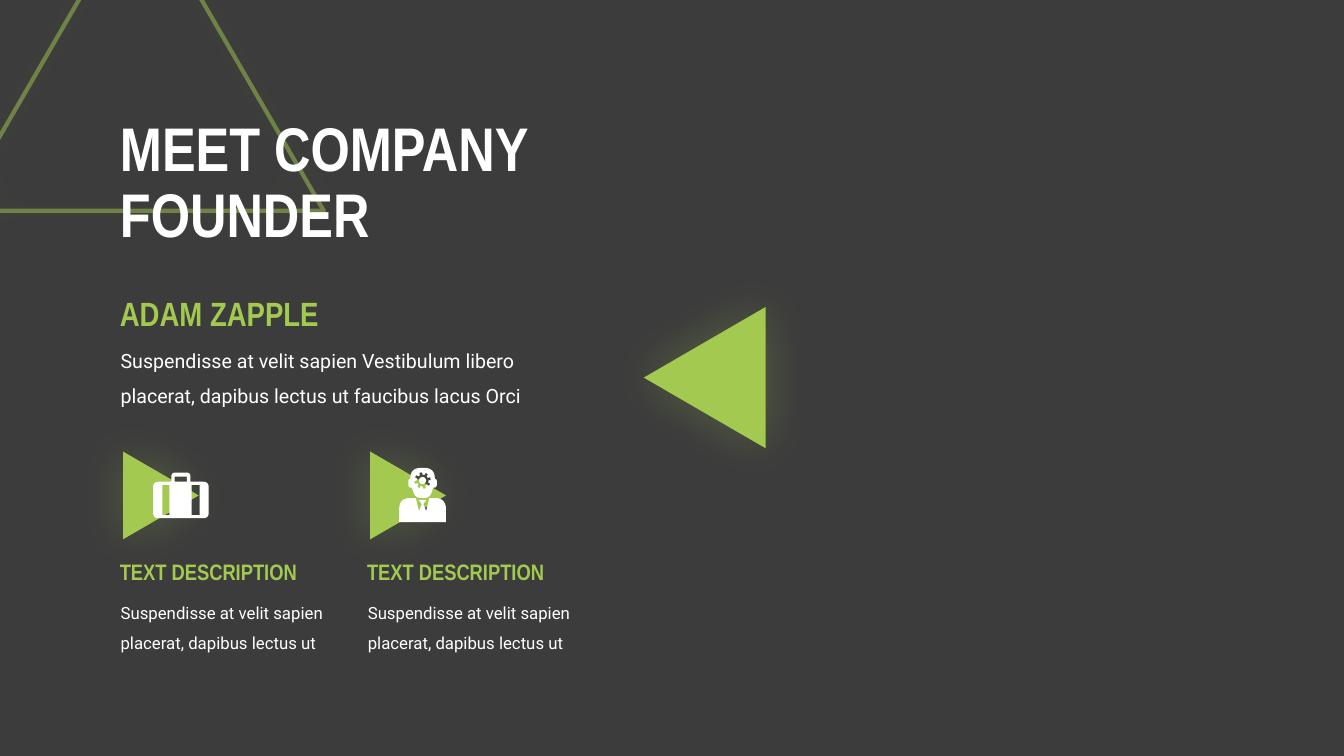
import math
from dataclasses import dataclass

import pptx
import pptx.dml.color
import pptx.enum.shapes
import pptx.enum.text
import pptx.oxml
import pptx.oxml.ns
import pptx.util

Cm = pptx.util.Cm
Pt = pptx.util.Pt
SHAPE = pptx.enum.shapes.MSO_SHAPE


@dataclass(frozen=True)
class Theme:
    dark: str = "3C3C3C"
    green: str = "A3C951"
    white: str = "FFFFFF"
    heading_font: str = "Arial Narrow"
    body_font: str = "Roboto"
    title: int = 44
    name: int = 24
    label: int = 16
    lead: int = 14
    body: int = 12


def rgb(color):
    return pptx.dml.color.RGBColor.from_string(color)


def toward(p, q, length):
    d = math.dist(p, q)
    return tuple(u + (v - u) * length / d for u, v in zip(p, q))


def rounded(corners, steps=6):
    points = []
    for i, (x, y, radius) in enumerate(corners):
        if not radius:
            points.append((x, y))
            continue
        a = toward((x, y), corners[i - 1][:2], radius)
        b = toward((x, y), corners[(i + 1) % len(corners)][:2], radius)
        for k in range(steps + 1):
            t = k / steps
            points.append(tuple((1 - t) ** 2 * u + 2 * t * (1 - t) * v + t * t * w
                                for u, v, w in zip(a, (x, y), b)))
    return points


def mirrored(cx, right_half):
    return ([(cx + dx, y, r) for dx, y, r in right_half]
            + [(cx - dx, y, r) for dx, y, r in reversed(right_half) if dx])


def box(left, top, right, bottom):
    return [(left, top), (right, top), (right, bottom), (left, bottom)]


def gear(cx, cy, outer, inner, teeth):
    points = []
    for i in range(teeth):
        for part, radius in ((0, inner), (0.4, inner), (0.5, outer), (0.9, outer)):
            angle = 2 * math.pi * (i + part) / teeth
            points.append((cx + radius * math.cos(angle), cy + radius * math.sin(angle)))
    return points


class Deck:
    def __init__(self, theme):
        self.theme = theme
        self.prs = pptx.Presentation()
        self.prs.slide_width, self.prs.slide_height = Cm(33.87), Cm(19.05)

    def new_slide(self):
        self.slide = self.prs.slides.add_slide(self.prs.slide_layouts[5])
        self.shapes = self.slide.shapes
        fill = self.slide.background.fill
        fill.solid()
        fill.fore_color.rgb = rgb(self.theme.dark)

    def add_run(self, p, text, size, color, font, bold):
        r = p.add_run()
        r.text = text
        r.font.size, r.font.name, r.font.bold = Pt(size), font, bold
        r.font.color.rgb = rgb(color)

    def title(self, at, lines):
        sp = self.shapes.title
        sp.left, sp.top, sp.width, sp.height = map(Cm, at)
        tf = sp.text_frame
        tf.word_wrap = True
        tf.auto_size = pptx.enum.text.MSO_AUTO_SIZE.NONE
        tf.vertical_anchor = pptx.enum.text.MSO_ANCHOR.MIDDLE
        p = tf.paragraphs[0]
        p.alignment = pptx.enum.text.PP_ALIGN.LEFT
        p.line_spacing = 0.9
        for i, line in enumerate(lines):
            if i:
                p.add_line_break()
            self.add_run(p, line, self.theme.title, self.theme.white,
                         self.theme.heading_font, True)

    def text(self, at, text, size, heading=False):
        tf = self.shapes.add_textbox(*map(Cm, at)).text_frame
        tf.word_wrap = True
        tf.auto_size = pptx.enum.text.MSO_AUTO_SIZE.SHAPE_TO_FIT_TEXT
        p = tf.paragraphs[0]
        if heading:
            self.add_run(p, text, size, self.theme.green, self.theme.heading_font, True)
        else:
            p.line_spacing = 1.5
            self.add_run(p, text, size, self.theme.white, self.theme.body_font, False)

    def paint(self, sp, color):
        sp.shadow.inherit = False
        sp.fill.solid()
        sp.fill.fore_color.rgb = rgb(color)
        sp.line.fill.background()

    def triangle(self, at, rotation=0, outline=False):
        sp = self.shapes.add_shape(SHAPE.ISOSCELES_TRIANGLE, *map(Cm, at))
        sp.rotation = rotation
        self.paint(sp, self.theme.green)
        ns = pptx.oxml.ns.nsdecls("a")
        if outline:
            sp.fill.background()
            sp.line.width = Pt(3)
            sp.line.color.rgb = rgb(self.theme.green)
            color = sp.element.find(".//" + pptx.oxml.ns.qn("a:ln")).find(
                ".//" + pptx.oxml.ns.qn("a:srgbClr"))
            color.append(pptx.oxml.parse_xml(f'<a:alpha {ns} val="50000"/>'))
        effects = sp.element.find(".//" + pptx.oxml.ns.qn("a:effectLst"))
        effects.append(pptx.oxml.parse_xml(
            f'<a:outerShdw {ns} blurRad="{Pt(35)}" dist="0" dir="0" algn="ctr" rotWithShape="0">'
            f'<a:srgbClr val="{self.theme.green}"><a:alpha val="25000"/></a:srgbClr>'
            '</a:outerShdw>'))
        return sp

    def outline(self, shapes, *contours):
        builder = None
        for contour in contours:
            start, *rest = [(Cm(x), Cm(y)) for x, y in contour]
            if builder is None:
                builder = shapes.build_freeform(*start)
            else:
                builder.move_to(*start)
            builder.add_line_segments(rest, close=True)
        self.paint(builder.convert_to_shape(), self.theme.white)

    def suitcase(self):
        body = mirrored(4.56, [(0.24, 11.91, 0.1), (0.24, 12.14, 0),
                               (0.7, 12.14, 0.14), (0.7, 13.06, 0.14)])
        self.outline(self.shapes, rounded(body),
                     box(4.09, 12.22, 4.27, 12.98),
                     box(4.83, 12.22, 5.03, 12.98),
                     box(4.4, 12.01, 4.71, 12.14))

    def thinker(self):
        shapes = self.shapes.add_group_shape().shapes
        cx, cy = 10.65, 12.11
        bust = mirrored(cx, [(0.02, 12.7, 0), (0.09, 12.88, 0), (0.17, 12.55, 0),
                             (0.59, 12.55, 0.28), (0.59, 13.16, 0)])
        tie = [(0.1, 12.6, 0), (0.02, 12.7, 0)]
        bust = [(cx + dx, y, r) for dx, y, r in tie] + bust[1:-1] + [
            (cx - dx, y, r) for dx, y, r in reversed(tie)]
        head = mirrored(cx, [(0.31, 11.79, 0.27), (0.31, 12.06, 0),
                             (0.36, 12.09, 0.04), (0.36, 12.29, 0.08),
                             (0.27, 12.29, 0), (0.18, 12.55, 0.14)])
        self.outline(shapes, rounded(bust))
        self.outline(shapes, rounded(head), gear(cx, cy, 0.21, 0.15, 8))
        hub = shapes.add_shape(SHAPE.OVAL, Cm(cx - 0.09), Cm(cy - 0.09), Cm(0.18), Cm(0.18))
        self.paint(hub, self.theme.white)


def main():
    theme = Theme()
    deck = Deck(theme)
    deck.new_slide()
    backdrop = deck.triangle((-1.09, -2.67, 9.25, 7.98), outline=True)
    deck.shapes.title.element.addprevious(backdrop.element)
    deck.title((2.77, 2.64, 14.27, 4.01), ["MEET COMPANY", "FOUNDER"])
    deck.triangle((15.98, 7.98, 3.56, 3.07), rotation=270)
    deck.text((2.79, 8.36, 11.45, 1.96),
              "Suspendisse at velit sapien Vestibulum libero placerat, "
              "dapibus lectus ut faucibus lacus Orci", theme.lead)
    deck.text((2.77, 7.26, 6.22, 1.27), "ADAM ZAPPLE", theme.name, heading=True)
    for column in range(2):
        x = 2.77 + 6.23 * column
        deck.triangle((x + 0.18, 11.53, 2.21, 1.91), rotation=90)
        deck.text((x + 0.02, 14.81, 5.89, 1.7),
                  "Suspendisse at velit sapien placerat, dapibus lectus ut", theme.body)
        deck.text((x, 13.94, 5.61, 0.94), "TEXT DESCRIPTION", theme.label, heading=True)
    deck.suitcase()
    deck.thinker()
    deck.prs.save("out.pptx")


if __name__ == "__main__":
    main()
